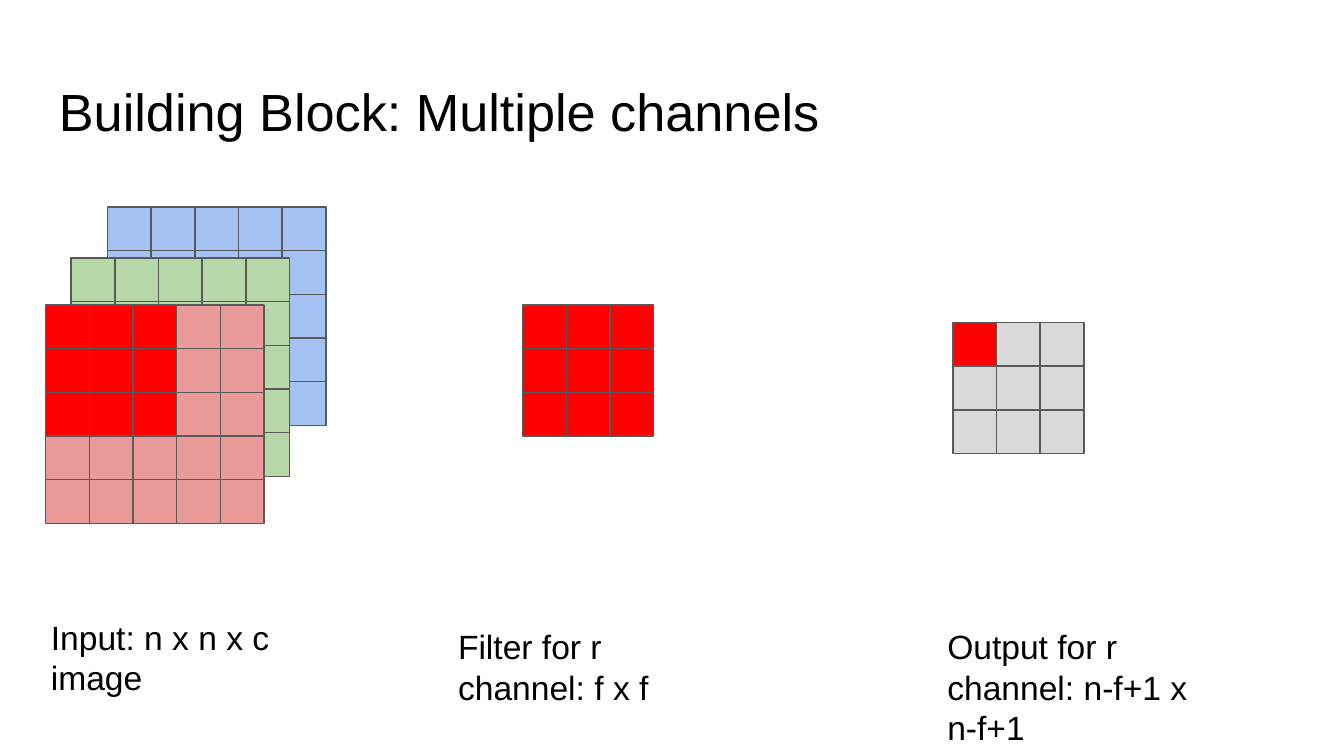
from pptx import Presentation
from pptx.dml.color import RGBColor
from pptx.enum.shapes import MSO_SHAPE as Shape
from pptx.util import Inches, Pt

HUES = {
    "blue": "A4C2F4",
    "green": "B6D7A8",
    "pink": "EA9999",
    "red": "FF0000",
    "grey": "D9D9D9",
    "line": "595959",
    "text": "000000",
}

# left, top, cells per side, fill, side of the red corner patch
GRIDS = [
    (0.8, 1.54, 5, "blue", 0),
    (0.53, 1.92, 5, "green", 0),
    (0.34, 2.27, 5, "pink", 3),
    (3.89, 2.27, 3, "red", 3),
    (7.09, 2.4, 3, "grey", 1),
]

# text, left, top, width, height, size
TEXTS = [
    ("Building Block: Multiple channels", 0.34, 0.49, 9.32, 0.63, 28),
    ("Input: n x n x c image", 0.28, 4.49, 2.15, 0.73, 18),
    ("Filter for r channel: f x f", 3.31, 4.56, 2.15, 0.73, 18),
    ("Output for r channel: n-f+1 x n-f+1", 6.95, 4.56, 2.15, 0.73, 18),
]

CELL = Inches(1.3) // 4


def hue(name):
    return RGBColor.from_string(HUES[name])


def add_grid(slide, left, top, count, fill, patch):
    group = slide.shapes.add_group_shape()
    for row in range(count):
        for col in range(count):
            cell = group.shapes.add_shape(
                Shape.RECTANGLE, Inches(left) + col * CELL,
                Inches(top) + row * CELL, CELL, CELL)
            cell.shadow.inherit = False
            cell.fill.solid()
            hot = max(row, col) < patch
            cell.fill.fore_color.rgb = hue("red" if hot else fill)
            cell.line.color.rgb = hue("line")
            cell.line.width = Pt(0.75)


def add_text(slide, text, left, top, width, height, size):
    box = slide.shapes.add_textbox(*map(Inches, (left, top, width, height)))
    frame = box.text_frame
    frame.word_wrap = True
    frame.margin_left = frame.margin_right = Inches(0.1)
    frame.margin_top = frame.margin_bottom = Inches(0.1)
    run = frame.paragraphs[0].add_run()
    run.text = text
    run.font.name = "Arial"
    run.font.size = Pt(size)
    run.font.color.rgb = hue("text")


deck = Presentation()
deck.slide_width = Inches(10)
deck.slide_height = deck.slide_width * 9 // 16
slide = deck.slides.add_slide(deck.slide_layouts[6])
for grid in GRIDS:
    add_grid(slide, *grid)
for text in TEXTS:
    add_text(slide, *text)
deck.save("out.pptx")
